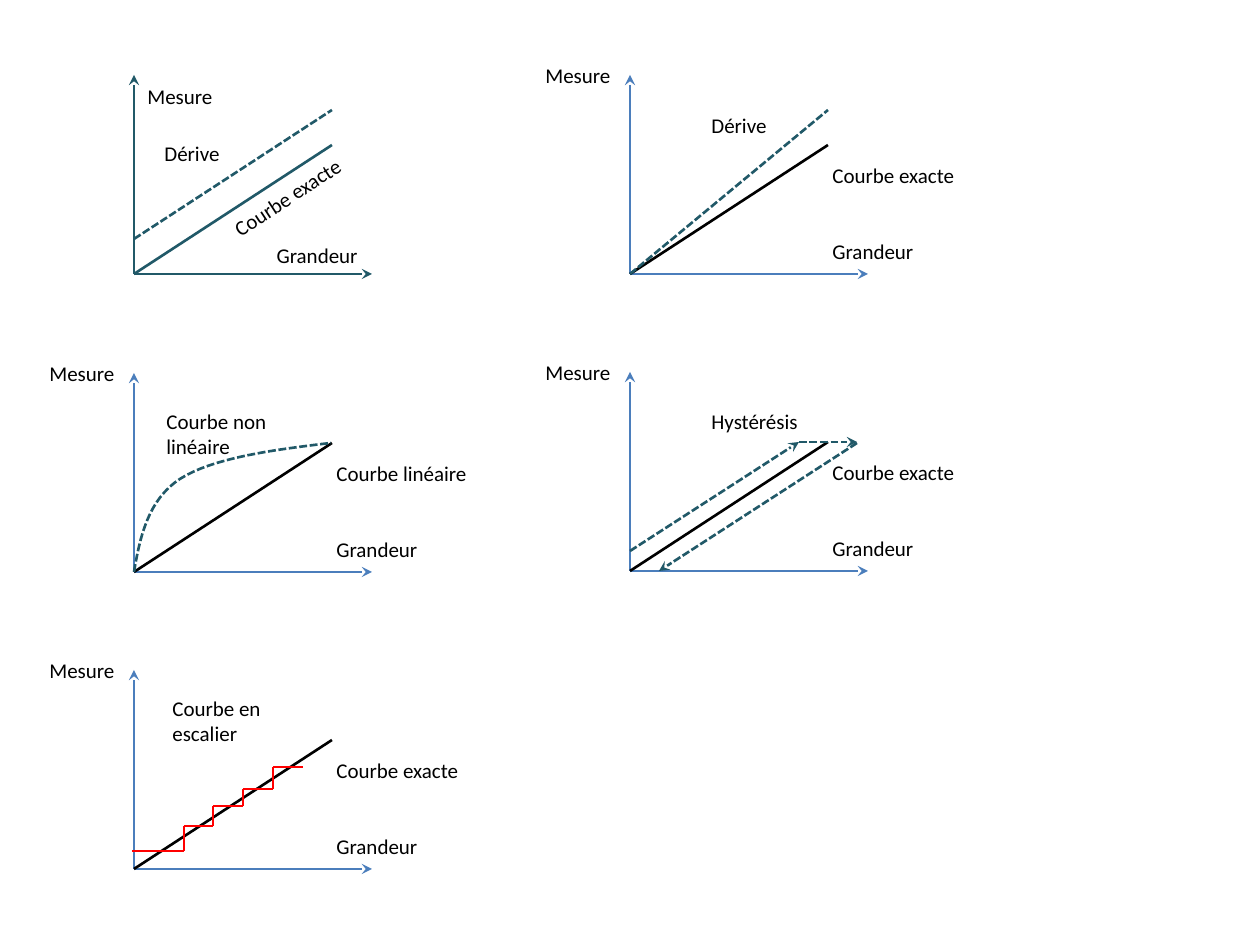
from dataclasses import dataclass

from lxml import etree
from pptx import Presentation
from pptx.dml.color import RGBColor
from pptx.enum.dml import MSO_LINE
from pptx.enum.shapes import MSO_CONNECTOR
from pptx.enum.text import MSO_AUTO_SIZE, PP_ALIGN
from pptx.oxml.ns import qn
from pptx.util import Pt

PX = 914400 / 126
STRAIGHT = MSO_CONNECTOR.STRAIGHT
DASH = MSO_LINE.SQUARE_DOT
FIT = MSO_AUTO_SIZE.SHAPE_TO_FIT_TEXT
LEFT, RIGHT = PP_ALIGN.LEFT, PP_ALIGN.RIGHT


@dataclass
class Theme:
    """Colours, font and sizes of the slide."""
    teal: RGBColor = RGBColor(0x21, 0x59, 0x68)
    blue: RGBColor = RGBColor(0x4B, 0x7E, 0xBC)
    black: RGBColor = RGBColor(0, 0, 0)
    red: RGBColor = RGBColor(0xFF, 0, 0)
    font: str = "Calibri"
    size: Pt = Pt(12)
    width: Pt = Pt(1.5)


theme = Theme()


def add_line(home, zero, start, end, color, dash=False, arrow=False):
    """Draw a line between two points measured from the plot's zero."""
    x, y = zero
    ends = (x + start[0], y + start[1], x + end[0], y + end[1])
    link = home.add_connector(STRAIGHT, *[round(v * PX) for v in ends])
    link.line.width = theme.width
    link.line.color.rgb = color
    if dash:
        link.line.dash_style = DASH
    if arrow:
        tip = etree.SubElement(link.line._get_or_add_ln(), qn("a:tailEnd"))
        tip.set("type", "stealth")
    etree.SubElement(link._element.spPr, qn("a:effectLst"))


def add_label(home, zero, words, spot, size, align=LEFT, turn=0):
    """Write a label whose corner is measured from the plot's zero."""
    area = (zero[0] + spot[0], zero[1] + spot[1], *size)
    box = home.add_textbox(*[round(v * PX) for v in area])
    box.rotation = turn
    frame = box.text_frame
    frame.word_wrap = True
    frame.auto_size = FIT
    frame.text = words
    para = frame.paragraphs[0]
    para.alignment = align
    font = para.runs[0].font
    font.name, font.size = theme.font, theme.size
    font.color.rgb = theme.black


deck = Presentation()
deck.slide_width = round(1260 * PX)
deck.slide_height = round(945 * PX)
slide = deck.slides.add_slide(deck.slide_layouts[6])
shapes = slide.shapes

origin = (0, 0)
top = (0, -199)
right = (238, 0)
peak = (198, -129)
short, medium, long, tall = (97, 38), (118, 38), (158, 38), (158, 63)

# Offset drift, with its labels inside the plot
zero = (134, 274)
group = shapes.add_group_shape().shapes
for end in (top, right):
    add_line(group, zero, origin, end, theme.teal, arrow=True)
add_label(group, zero, "Mesure", (1, -197), short)
add_label(group, zero, "Grandeur", (118, -38), medium, RIGHT)
add_line(group, zero, origin, peak, theme.teal)
add_line(group, zero, (0, -35), (198, -164), theme.teal, dash=True)
add_label(group, zero, "Courbe exacte", (79, -99), long, turn=326.8)
add_label(group, zero, "Dérive", (18, -140), long)

# The four plots that share one layout
gain, bend, loop, stairs = (630, 274), (134, 572), (630, 571), (134, 869)
plots = [
    (gain, "Courbe exacte", "Dérive", (69, -168), long),
    (bend, "Courbe linéaire", "Courbe non linéaire", (20, -170), tall),
    (loop, "Courbe exacte", "Hystérésis", (69, -169), long),
    (stairs, "Courbe exacte", "Courbe en escalier", (26, -180), tall),
]
for zero, name, note, spot, size in plots:
    for end in (top, right):
        add_line(shapes, zero, origin, end, theme.blue, arrow=True)
    add_label(shapes, zero, "Mesure", (-97, -218), short)
    add_label(shapes, zero, "Grandeur", (190, -42), medium)
    add_line(shapes, zero, origin, peak, theme.black)
    add_label(shapes, zero, name, (190, -118), long)
    add_label(shapes, zero, note, spot, size)

# Gain drift
add_line(shapes, gain, origin, (198, -164), theme.teal, dash=True)

# Non-linear curve, traced from two cubic arcs
arcs = [
    [(0, 0), (6, -35), (14, -72), (46, -93)],
    [(46, -93), (79, -114), (138, -122), (197, -129)],
]
steps = 16
trace = []
for arc in arcs:
    for i in range(1, steps + 1):
        t = i / steps
        parts = ((1 - t) ** 3, 3 * t * (1 - t) ** 2, 3 * t * t * (1 - t), t ** 3)
        x, y = (sum(k * p[n] for k, p in zip(parts, arc)) for n in (0, 1))
        trace.append((round((bend[0] + x) * PX), round((bend[1] + y) * PX)))
pen = shapes.build_freeform(round(bend[0] * PX), round(bend[1] * PX))
pen.add_line_segments(trace, close=False)
curve = pen.convert_to_shape()
curve.shadow.inherit = False
curve.fill.background()
curve.line.color.rgb = theme.teal
curve.line.width = theme.width
curve.line.dash_style = DASH

# Hysteresis loop
paths = [
    ((0, -20), (169, -129)),
    ((227, -128), (29, 0)),
    ((169, -129), (227, -129)),
]
for start, end in paths:
    add_line(shapes, loop, start, end, theme.teal, dash=True, arrow=True)

# Staircase: each tread, then the riser to the next one
edges = [-2, 50, 79, 109, 139, 169]
treads = [-18, -43, -63, -80, -102]
for i, level in enumerate(treads):
    near, far = edges[i], edges[i + 1]
    add_line(shapes, stairs, (near, level), (far, level), theme.red)
    if i + 1 < len(treads):
        add_line(shapes, stairs, (far, level), (far, treads[i + 1]), theme.red)

deck.save("out.pptx")
